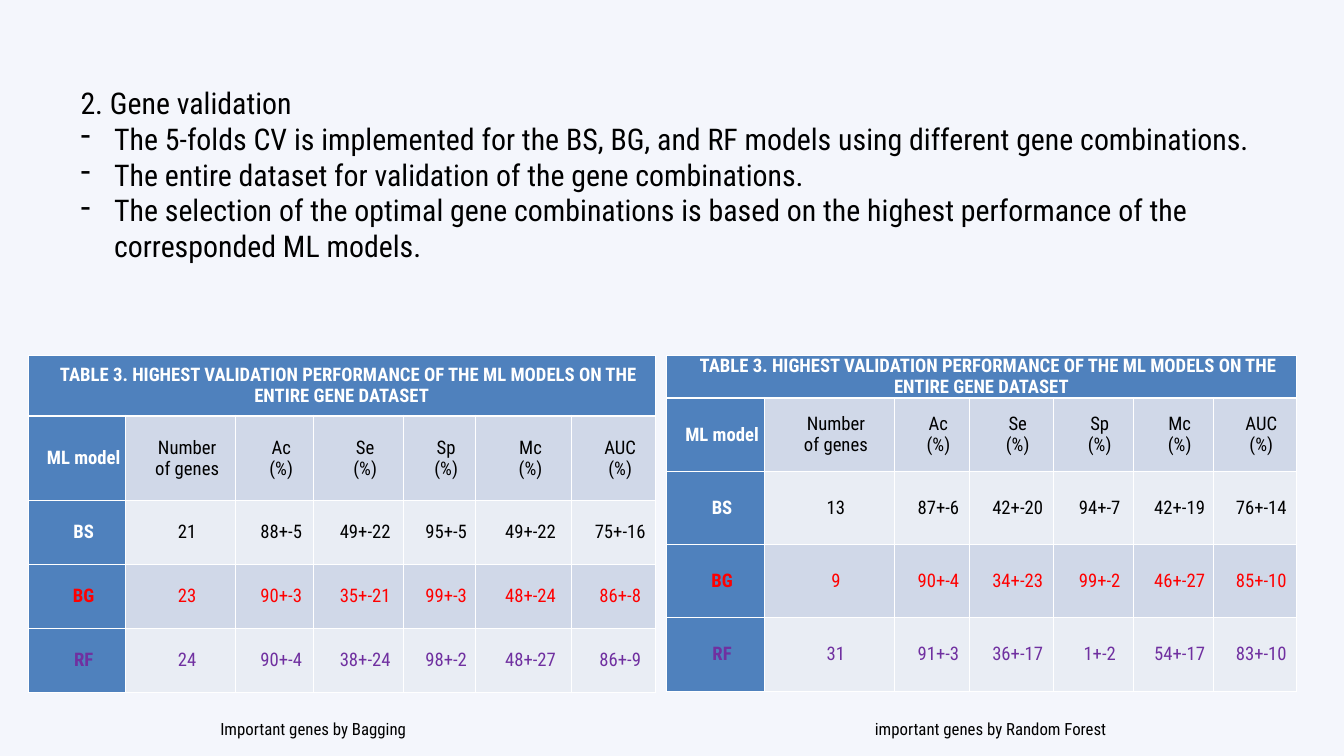
from lxml.etree import SubElement
from pptx import Presentation
from pptx.dml.color import RGBColor
from pptx.enum.text import MSO_ANCHOR, MSO_AUTO_SIZE, PP_ALIGN
from pptx.oxml.ns import qn
from pptx.util import Inches, Pt

FONT = "Roboto Condensed"
BACKGROUND = RGBColor(0xF4, 0xF6, 0xFC)
BLACK = RGBColor(0x00, 0x00, 0x00)
WHITE = RGBColor(0xFF, 0xFF, 0xFF)
BLUE = RGBColor(0x4F, 0x81, 0xBD)
DARK_BAND = RGBColor(0xD0, 0xD8, 0xE8)
LIGHT_BAND = RGBColor(0xE9, 0xED, 0xF4)
RED = RGBColor(0xFF, 0x00, 0x00)
PURPLE = RGBColor(0x70, 0x30, 0xA0)

TABLE_TITLE = ("TABLE 3. HIGHEST VALIDATION PERFORMANCE OF THE ML MODELS "
               "ON THE ENTIRE GENE DATASET")
HEADER = ["ML model", "Number\nof genes"] + [
    f"{measure}\n(%)" for measure in ("Ac", "Se", "Sp", "Mc", "AUC")]
ROW_COLORS = [WHITE, BLACK, BLACK, RED, PURPLE]

TABLES = [
    {"left": 0.42,
     "columns": [1.45, 1.63, 1.17, 1.33, 1.08, 1.43, 1.24],
     "rows": [0.9, 1.26, 0.95, 0.95, 0.95],
     "results": [
         ["BS", "21", "88+-5", "49+-22", "95+-5", "49+-22", "75+-16"],
         ["BG", "23", "90+-3", "35+-21", "99+-3", "48+-24", "86+-8"],
         ["RF", "24", "90+-4", "38+-24", "98+-2", "48+-27", "86+-9"]]},
    {"left": 9.92,
     "columns": [1.45, 1.94, 1.11, 1.25, 1.19, 1.19, 1.24],
     "rows": [0.63, 1.09, 1.09, 1.09, 1.09],
     "results": [
         ["BS", "13", "87+-6", "42+-20", "94+-7", "42+-19", "76+-14"],
         ["BG", "9", "90+-4", "34+-23", "99+-2", "46+-27", "85+-10"],
         ["RF", "31", "91+-3", "36+-17", "1+-2", "54+-17", "83+-10"]]},
]


def add_text(left, top, width, height, text, size):
    box = slide.shapes.add_textbox(
        Inches(left), Inches(top), Inches(width), Inches(height))
    text_frame = box.text_frame
    text_frame.word_wrap = True
    text_frame.text = text
    for paragraph in text_frame.paragraphs:
        paragraph.font.size = Pt(size)
        for run in paragraph.runs:
            run.font.name = FONT
            run.font.size = Pt(size)
            run.font.color.rgb = BLACK
    return text_frame


def format_cell(cell, text, color, bold, fill, bottom_width):
    # Borders come before the fill in the cell properties
    properties = cell._tc.get_or_add_tcPr()
    for side in ("lnL", "lnR", "lnT", "lnB"):
        width = bottom_width if side == "lnB" else 1
        line = SubElement(properties, qn(f"a:{side}"), w=str(Pt(width)))
        line_fill = SubElement(line, qn("a:solidFill"))
        SubElement(line_fill, qn("a:srgbClr"), val=str(WHITE))
    cell.fill.solid()
    cell.fill.fore_color.rgb = fill
    cell.vertical_anchor = MSO_ANCHOR.MIDDLE
    cell.margin_left = cell.margin_right = Inches(0.07)
    cell.margin_top = cell.margin_bottom = 0
    cell.text_frame.text = text
    for paragraph in cell.text_frame.paragraphs:
        paragraph.alignment = PP_ALIGN.CENTER
        paragraph.line_spacing = 0.95
        paragraph_properties = paragraph._p.get_or_add_pPr()
        paragraph_properties.set("marL", "0")
        paragraph_properties.set("indent", str(Inches(0.2)))
        for run in paragraph.runs:
            run.font.name = FONT
            run.font.size = Pt(20)
            run.font.bold = bold
            run.font.color.rgb = color


presentation = Presentation()
presentation.slide_width = Inches(20)
presentation.slide_height = Inches(11.25)
slide = presentation.slides.add_slide(presentation.slide_layouts[6])
slide.background.fill.solid()
slide.background.fill.fore_color.rgb = BACKGROUND

# Heading and dashed list
body = add_text(1.1, 1.21, 18.17, 3.87, "\n".join([
    "2. Gene validation",
    "The 5-folds CV is implemented for the BS, BG, and RF models using "
    "different gene combinations.",
    "The entire dataset for validation of the gene combinations.",
    "The selection of the optimal gene combinations is based on the highest "
    "performance of the corresponded ML models.",
]), 32)
for paragraph in body.paragraphs[1:]:
    list_properties = paragraph._p.get_or_add_pPr()
    list_properties.set("marL", str(Inches(0.5)))
    list_properties.set("indent", str(Inches(-0.5)))
    bullet = list_properties.makeelement(qn("a:buChar"), {"char": "-"})
    list_properties.insert(0, bullet)

# Validation tables
for data in TABLES:
    table = slide.shapes.add_table(
        len(data["rows"]), len(data["columns"]),
        Inches(data["left"]), Inches(5.29),
        Inches(sum(data["columns"])), Inches(sum(data["rows"]))).table
    table.first_row = table.horz_banding = False
    for column, width in zip(table.columns, data["columns"]):
        column.width = Inches(width)
    for row, height in zip(table.rows, data["rows"]):
        row.height = Inches(height)

    title_row = [TABLE_TITLE] + [""] * (len(HEADER) - 1)
    contents = [title_row, HEADER] + data["results"]
    for row_index, values in enumerate(contents):
        band = DARK_BAND if row_index % 2 else LIGHT_BAND
        for column_index, value in enumerate(values):
            label = row_index == 0 or column_index == 0
            color = ROW_COLORS[row_index]
            if label and color == BLACK:
                color = WHITE
            format_cell(table.cell(row_index, column_index), value, color,
                        label, BLUE if label else band,
                        1 if row_index else 3)
    table.cell(0, 0).merge(table.cell(0, len(HEADER) - 1))

# Captions
bagging = add_text(3.18, 10.64, 3.23, 0.4, "Important genes by Bagging", 18)
bagging.word_wrap = False
forest = add_text(12.92, 10.64, 11.58, 0.4,
                  "important genes by Random Forest", 18)
for caption in (bagging, forest):
    caption.auto_size = MSO_AUTO_SIZE.SHAPE_TO_FIT_TEXT

presentation.save("out.pptx")
